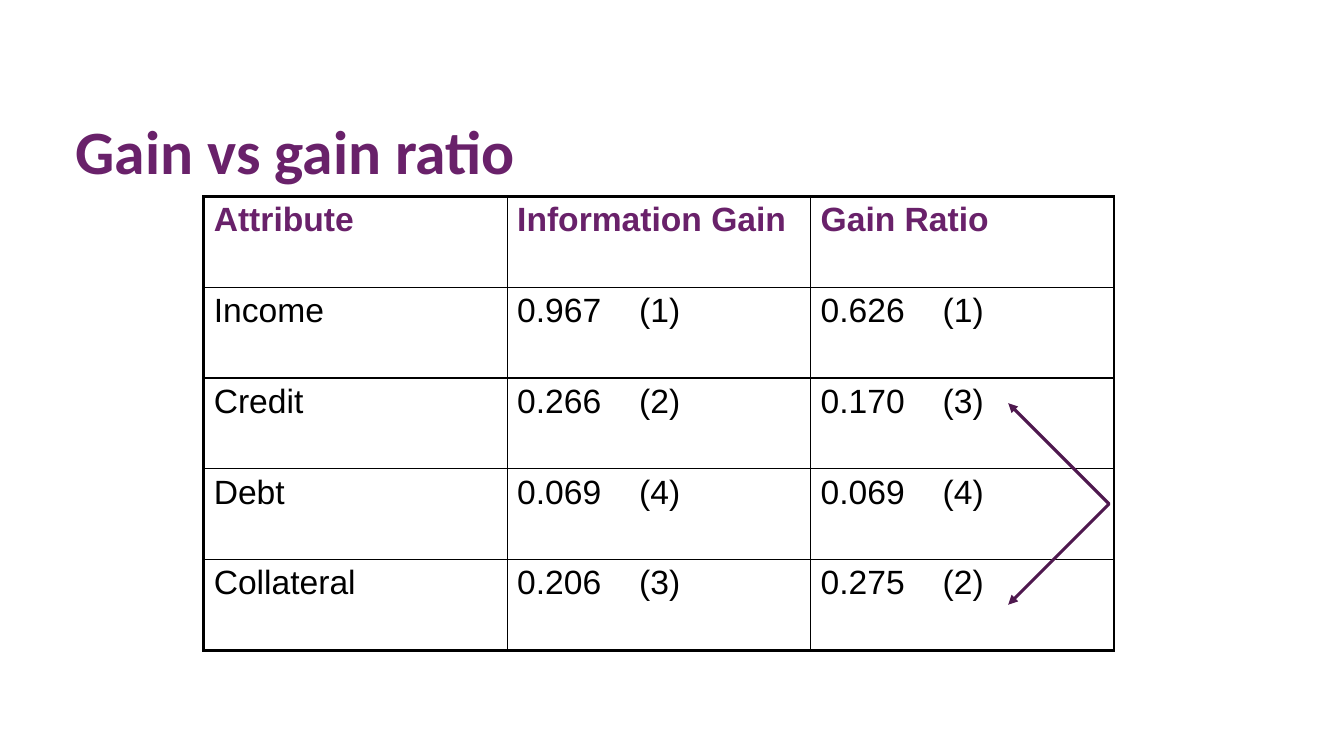
from lxml.etree import SubElement
from pptx import Presentation
from pptx.dml.color import RGBColor
from pptx.enum.text import MSO_ANCHOR
from pptx.oxml.ns import qn
from pptx.util import Inches, Pt

# Content
TITLE = "Gain vs gain ratio"
HEADINGS = ("Attribute", "Information Gain", "Gain Ratio")
RATINGS = [
    ("Income", "0.967\t(1)", "0.626\t(1)"),
    ("Credit", "0.266\t(2)", "0.170\t(3)"),
    ("Debt", "0.069\t(4)", "0.069\t(4)"),
    ("Collateral", "0.206\t(3)", "0.275\t(2)"),
]
PURPLE, DARK_PURPLE, BLACK = "69216A", "4E184E", "000000"

# Geometry in inches
WIDTH, HEIGHT = 13.33, 7.5
TABLE_LEFT, TABLE_TOP = 2.02, 1.95
COLUMN, ROW = 3.01, 0.9
RANK_TAB = 1.21
OUTER_LINE, INNER_LINE = 2.25, 1
SWAP_START = (9.83, 4.02)
SWAP_CURVES = [
    ((10.39, 4.36), (10.95, 4.69), (10.95, 5)),
    ((10.96, 5.31), (9.84, 5.87), (9.84, 5.87)),
]


def color(code):
    return RGBColor.from_string(code)


def write(para, text, font, size, code, bold):
    span = para.add_run()
    span.text = text
    span.font.name, span.font.size, span.font.bold = font, Pt(size), bold
    span.font.color.rgb = color(code)


def set_borders(cell, weights):
    """Draw black borders, given as side: points in schema order."""
    properties = cell._tc.get_or_add_tcPr()
    for place, (side, points) in enumerate(weights.items()):
        line = SubElement(properties, qn("a:ln" + side), w=str(Pt(points)))
        fill = SubElement(line, qn("a:solidFill"))
        SubElement(fill, qn("a:srgbClr"), val=BLACK)
        properties.insert(place, line)


def add_title(page):
    box = page.shapes.add_textbox(Inches(0.65), Inches(1.12), Inches(11.5), Inches(0.83))
    frame = box.text_frame
    frame.word_wrap = True
    frame.vertical_anchor = MSO_ANCHOR.MIDDLE
    para = frame.paragraphs[0]
    para.line_spacing = 0.9
    write(para, TITLE, "Calibri", 44, PURPLE, True)


def add_ratings(page):
    rows = [HEADINGS, *RATINGS]
    last_row, last_column = len(rows) - 1, len(HEADINGS) - 1
    table = page.shapes.add_table(
        len(rows), len(HEADINGS), Inches(TABLE_LEFT), Inches(TABLE_TOP),
        Inches(COLUMN * len(HEADINGS)), Inches(ROW * len(rows))).table
    table.horz_banding = False
    for r, row in enumerate(rows):
        for c, text in enumerate(row):
            cell = table.cell(r, c)
            cell.fill.background()
            outer = {"L": c == 0, "R": c == last_column, "T": r == 0, "B": r == last_row}
            set_borders(cell, {side: OUTER_LINE if edge else INNER_LINE
                               for side, edge in outer.items()})
            para = cell.text_frame.paragraphs[0]
            if "\t" in text:
                stops = SubElement(para._p.get_or_add_pPr(), qn("a:tabLst"))
                SubElement(stops, qn("a:tab"), pos=str(Inches(RANK_TAB)), algn="l")
            write(para, text, "Arial", 24, BLACK if r else PURPLE, r == 0)


def add_swap_arrow(page):
    builder = page.shapes.build_freeform(*SWAP_START, scale=Inches(1))
    for curve in SWAP_CURVES:
        builder.add_line_segments(curve, close=False)
    arrow = builder.convert_to_shape()
    arrow.shadow.inherit = False
    arrow.fill.background()
    arrow.line.color.rgb = color(DARK_PURPLE)
    arrow.line.width = Pt(OUTER_LINE)
    # Turn each three straight segments into one cubic curve
    outline = arrow._element.find(".//" + qn("a:path"))
    segments = outline.findall(qn("a:lnTo"))
    for first in range(0, len(segments), 3):
        curve = SubElement(outline, qn("a:cubicBezTo"))
        for segment in segments[first:first + 3]:
            curve.append(segment[0])
            outline.remove(segment)
    for end in ("headEnd", "tailEnd"):
        SubElement(arrow.line._get_or_add_ln(), qn("a:" + end), type="triangle")


def main():
    deck = Presentation()
    deck.slide_width, deck.slide_height = Inches(WIDTH), Inches(HEIGHT)
    page = deck.slides.add_slide(deck.slide_layouts[6])
    add_title(page)
    add_ratings(page)
    add_swap_arrow(page)
    deck.save("out.pptx")


if __name__ == "__main__":
    main()
